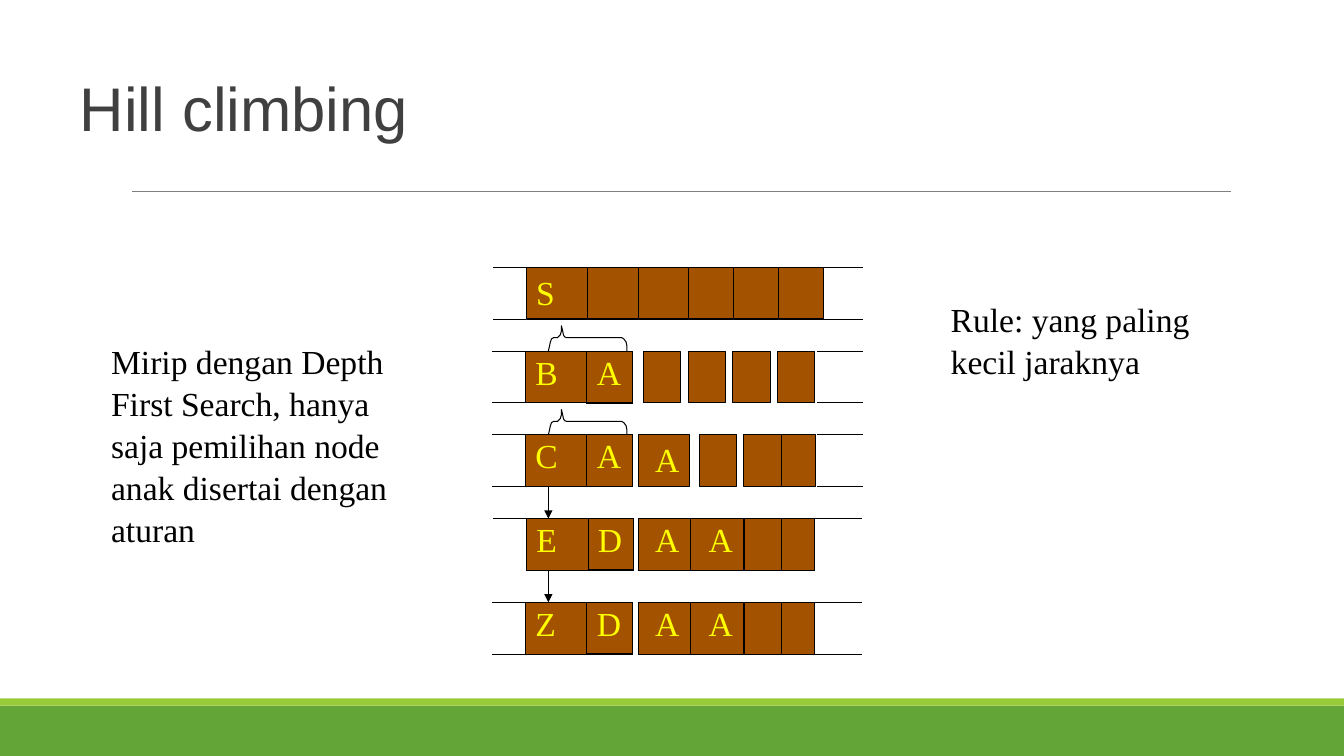
from dataclasses import dataclass

from lxml import etree
from pptx import Presentation
from pptx.dml.color import RGBColor
from pptx.enum.shapes import MSO_CONNECTOR, MSO_SHAPE
from pptx.enum.text import MSO_ANCHOR, MSO_AUTO_SIZE, PP_ALIGN
from pptx.oxml.ns import qn
from pptx.util import Cm, Pt

RECTANGLE = MSO_SHAPE.RECTANGLE
STRAIGHT = MSO_CONNECTOR.STRAIGHT
TOP, BOTTOM = MSO_ANCHOR.TOP, MSO_ANCHOR.BOTTOM
LEFT = PP_ALIGN.LEFT
NO_AUTOFIT = MSO_AUTO_SIZE.NONE

COLORS = {
    "band": "63A537", "strip": "99CB38", "divider": "808080", "title": "404040",
    "node": "A35200", "letter": "FFFF00", "black": "000000",
}
SERIF = "Times New Roman"
THIN, THICK = 0.75, 1.5
QUEUE_TOP, QUEUE_PITCH, NODE_HEIGHT = 6.74, 2.11, 1.3
LEAD_LEFT, TAIL_LEFT = 12.4, 16.08
LEAD_WIDTHS = (0.84, 1.55, 1.14)
TAIL_WIDTHS = (1.32, 1.35, 0.94, 0.84, 1.19)
BRANCH_LEFT = 13.82
# Brace outline in hundredths of a centimetre, from its left foot to its right foot
BRACE = [(0, 64), (3, 51), (5, 41), (8, 33), (13, 30), (23, 30), (25, 28), (30, 23),
         (33, 13), (33, 0), (36, 13), (38, 23), (41, 28), (46, 30), (185, 30),
         (190, 33), (196, 41), (198, 51), (198, 64)]


@dataclass
class Node:
    row: int
    left: float
    width: float
    letter: str = ""
    indent: float = 0.25


@dataclass
class Cell:
    letter: str = ""
    indent: float = 0.25
    filled: bool = True
    borders: str = "LRTB"
    thick: str = ""


@dataclass
class Queue:
    row: int
    left: float
    widths: tuple[float, ...]
    cells: list[Cell]


@dataclass
class Caption:
    left: float
    top: float
    width: float
    height: float
    text: str


def lead_cells(first: str, second: str, rails: str = "TB") -> list[Cell]:
    return [Cell(filled=False, borders="R" + rails), Cell(first), Cell(second, thick="B")]


def tail_cells(rails: str) -> list[Cell]:
    return [Cell("A", 0.43), Cell("A", 0.46, thick="R"), Cell(thick="L"), Cell(),
            Cell(filled=False, borders="L" + rails)]


NODES = [
    Node(0, 13.26, 1.55, "S"),
    *(Node(0, left, width) for left, width in
      ((14.81, 1.28), (16.08, 1.28), (17.36, 1.13), (18.49, 1.13), (19.63, 1.13))),
    *(Node(1, 16.21 + 1.13 * index, 0.94) for index in range(4)),
    Node(2, TAIL_LEFT, 1.3, "A", 0.43),
    Node(2, 17.63, 0.94), Node(2, 18.75, 0.94), Node(2, 19.69, 0.86),
]
QUEUES = [
    Queue(1, LEAD_LEFT, LEAD_WIDTHS, lead_cells("B", "A")),
    Queue(2, LEAD_LEFT, LEAD_WIDTHS, lead_cells("C", "A")),
    Queue(3, LEAD_LEFT + 0.03, LEAD_WIDTHS, lead_cells("E", "D", "T")),
    Queue(3, TAIL_LEFT, TAIL_WIDTHS, tail_cells("T")),
    Queue(4, LEAD_LEFT, LEAD_WIDTHS, lead_cells("Z", "D")),
    Queue(4, TAIL_LEFT, TAIL_WIDTHS, tail_cells("TB")),
]
RAILS = [(0, 12.43, 13.26)] + [(row, 20.6, 21.74) for row in range(3)]
CAPTIONS = [
    Caption(2.77, 8.53, 7.05, 5.16, "Mirip dengan Depth First Search, hanya saja "
                                    "pemilihan node anak disertai dengan aturan"),
    Caption(23.93, 7.47, 6.2, 2.11, "Rule: yang paling kecil jaraknya"),
]


def color(name: str) -> RGBColor:
    return RGBColor.from_string(COLORS[name])


def row_top(row: int) -> float:
    return QUEUE_TOP + QUEUE_PITCH * row


def write_text(frame, text: str, *, size: float = 24, font: str = SERIF,
               fill: str = "letter", before: float = 2.8, spacing: float = 1.0) -> None:
    paragraph = frame.paragraphs[0]
    paragraph.alignment = LEFT
    paragraph.space_before = Pt(before)
    paragraph.line_spacing = spacing
    run = paragraph.add_run()
    run.text = text
    run.font.size = Pt(size)
    run.font.name = font
    run.font.color.rgb = color(fill)


def set_margins(target, left: float, top: float) -> None:
    target.margin_left, target.margin_top = Cm(left), Cm(top)
    target.margin_right = target.margin_bottom = 0
    target.vertical_anchor = TOP


def add_rectangle(slide, left: float, top: float, width: float, height: float, fill: str):
    shape = slide.shapes.add_shape(RECTANGLE, Cm(left), Cm(top), Cm(width), Cm(height))
    shape.shadow.inherit = False
    shape.fill.solid()
    shape.fill.fore_color.rgb = color(fill)
    shape.line.fill.background()
    return shape


def add_line(slide, start: tuple[float, float], end: tuple[float, float], *,
             stroke: str = "black", width: float = THIN, arrow: bool = False) -> None:
    connector = slide.shapes.add_connector(STRAIGHT, *map(Cm, start + end))
    connector.line.color.rgb = color(stroke)
    connector.line.width = Pt(width)
    if arrow:
        etree.SubElement(connector.line._get_or_add_ln(), qn("a:tailEnd"), type="triangle")
    etree.SubElement(connector._element.spPr, qn("a:effectLst"))


def add_node(slide, node: Node) -> None:
    shape = add_rectangle(slide, node.left, row_top(node.row), node.width, NODE_HEIGHT, "node")
    shape.line.color.rgb = color("black")
    shape.line.width = Pt(THIN)
    if node.letter:
        set_margins(shape.text_frame, node.indent, 0.1)
        write_text(shape.text_frame, node.letter)


def set_borders(table_cell, cell: Cell) -> None:
    properties = table_cell._tc.get_or_add_tcPr()
    for side in "LRTB":
        width = Pt(THICK if side in cell.thick else THIN)
        line = etree.SubElement(properties, qn(f"a:ln{side}"), w=str(int(width)))
        if side in cell.borders:
            solid = etree.SubElement(line, qn("a:solidFill"))
            etree.SubElement(solid, qn("a:srgbClr"), val=COLORS["black"])
        else:
            etree.SubElement(line, qn("a:noFill"))


def add_queue(slide, queue: Queue) -> None:
    frame = slide.shapes.add_table(1, len(queue.cells), Cm(queue.left), Cm(row_top(queue.row)),
                                   Cm(sum(queue.widths)), Cm(NODE_HEIGHT))
    table = frame.table
    table.first_row = table.horz_banding = False
    for index, (width, cell) in enumerate(zip(queue.widths, queue.cells)):
        table.columns[index].width = Cm(width)
        table_cell = table.cell(0, index)
        set_margins(table_cell, cell.indent, 0.1)
        set_borders(table_cell, cell)
        if cell.filled:
            table_cell.fill.solid()
            table_cell.fill.fore_color.rgb = color("node")
        else:
            table_cell.fill.background()
        if cell.letter:
            write_text(table_cell.text_frame, cell.letter)


def add_brace(slide, row: int) -> None:
    """Draw the brace that spans the first two nodes of a row, just above it."""
    builder = slide.shapes.build_freeform(*BRACE[0], scale=Cm(0.01))
    builder.add_line_segments(BRACE[1:], close=False)
    brace = builder.convert_to_shape(Cm(BRANCH_LEFT), Cm(row_top(row) - 0.64))
    brace.shadow.inherit = False
    brace.fill.background()
    brace.line.color.rgb = color("black")
    brace.line.width = Pt(THIN)


def add_title(slide) -> None:
    title = slide.shapes.title
    title.left, title.top, title.width, title.height = map(Cm, (1.98, 1.7, 8.6, 1.93))
    set_margins(title.text_frame, 0.03, 0.03)
    title.text_frame.vertical_anchor = BOTTOM
    title.text_frame.auto_size = NO_AUTOFIT
    write_text(title.text_frame, "Hill climbing", size=44, font="Arial", fill="title", before=0.9)


def add_caption(slide, caption: Caption) -> None:
    box = slide.shapes.add_textbox(Cm(caption.left), Cm(caption.top),
                                   Cm(caption.width), Cm(caption.height))
    box.text_frame.word_wrap = True
    set_margins(box.text_frame, 0.03, 0.03)
    write_text(box.text_frame, caption.text, fill="black", before=1, spacing=1.04)


def main() -> None:
    presentation = Presentation()
    presentation.slide_width, presentation.slide_height = Cm(33.87), Cm(19.05)
    slide = presentation.slides.add_slide(presentation.slide_layouts[5])
    add_rectangle(slide, 0, 17.78, 33.87, 1.27, "band")
    add_rectangle(slide, 0, 17.6, 33.87, 0.18, "strip")
    add_line(slide, (3.33, 4.83), (31.01, 4.83), stroke="divider", width=0.5)
    add_title(slide)
    for node in NODES:
        add_node(slide, node)
    for queue in QUEUES:
        add_queue(slide, queue)
    for row, start, end in RAILS:
        for height in (row_top(row), row_top(row) + NODE_HEIGHT):
            add_line(slide, (start, height), (end, height))
    for row in (1, 2):
        add_brace(slide, row)
    for row in (2, 3):
        add_line(slide, (BRANCH_LEFT, row_top(row) + NODE_HEIGHT),
                 (BRANCH_LEFT, row_top(row + 1)), width=1, arrow=True)
    for caption in CAPTIONS:
        add_caption(slide, caption)
    presentation.save("out.pptx")


if __name__ == "__main__":
    main()
